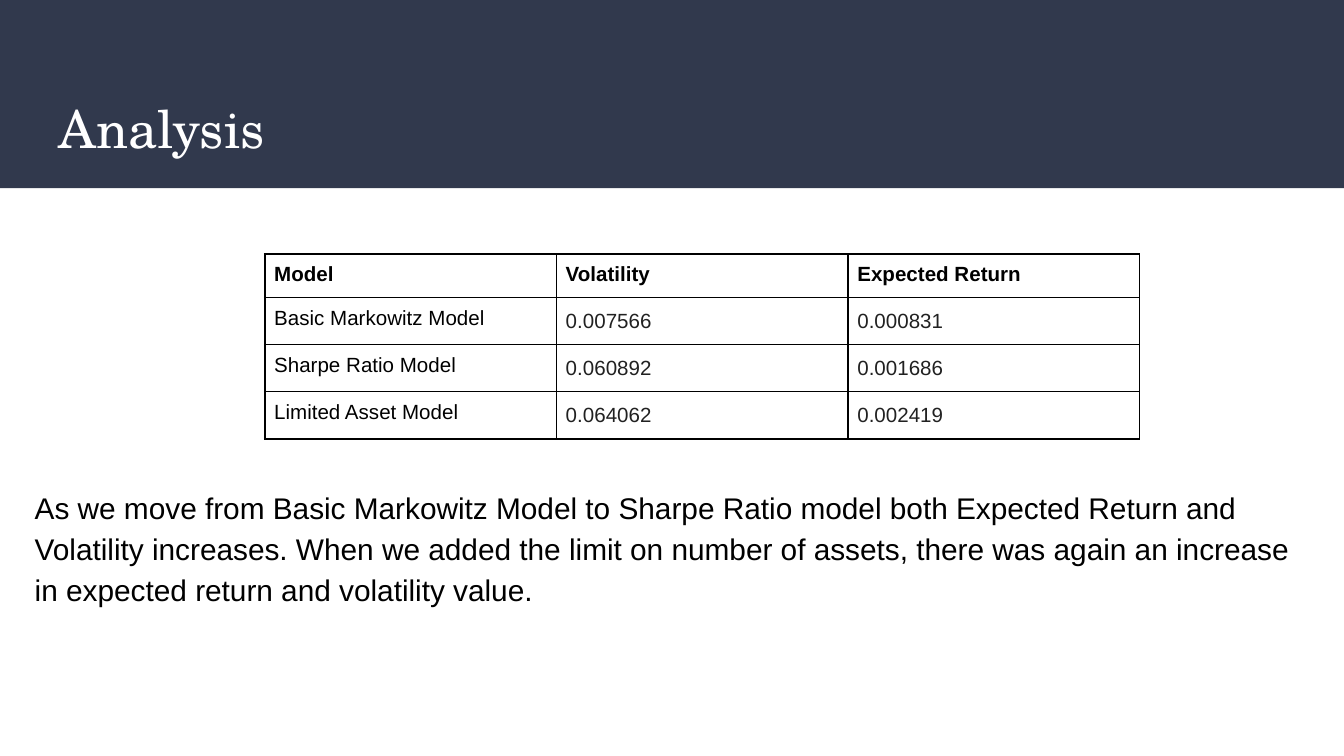
from lxml.etree import SubElement
from pptx import Presentation
from pptx.dml.color import RGBColor
from pptx.enum.shapes import MSO_SHAPE
from pptx.enum.text import MSO_ANCHOR
from pptx.oxml.ns import qn
from pptx.util import Inches, Pt

WIDTH = 10
HEIGHT = WIDTH * 9 / 16
NAVY, WHITE, BLACK, CHARCOAL = "31394D", "FFFFFF", "000000", "212121"

RESULTS = [
    ("Model", "Volatility", "Expected Return"),
    ("Basic Markowitz Model", "0.007566", "0.000831"),
    ("Sharpe Ratio Model", "0.060892", "0.001686"),
    ("Limited Asset Model", "0.064062", "0.002419"),
]
COLUMN_WIDTH = 2.17
# Minimum heights: rows grow to fit their text
HEADER_HEIGHT, ROW_HEIGHT = 0.23, 0.24
CONCLUSION = (
    "As we move from Basic Markowitz Model to Sharpe Ratio model both "
    "Expected Return and Volatility increases. When we added the limit on "
    "number of assets, there was again an increase in expected return and "
    "volatility value."
)


def color(hex_code):
    return RGBColor.from_string(hex_code)


def write(frame, words, size, hex_code, font="Arial", bold=False, spacing=1.15):
    frame.text = words
    paragraph = frame.paragraphs[0]
    paragraph.line_spacing = spacing
    for run in paragraph.runs:
        run.font.name = font
        run.font.size = Pt(size)
        run.font.bold = bold
        run.font.color.rgb = color(hex_code)


def set_margins(holder, inset):
    holder.margin_left = holder.margin_right = Inches(inset)
    holder.margin_top = holder.margin_bottom = Inches(inset)


def add_band(slide, height):
    band = slide.shapes.add_shape(
        MSO_SHAPE.RECTANGLE, 0, 0, Inches(WIDTH), Inches(height))
    band.shadow.inherit = False
    band.fill.solid()
    band.fill.fore_color.rgb = color(NAVY)
    band.line.fill.background()


def add_text(slide, words, side, top, height, size, hex_code, font="Arial"):
    """Place a text box with the same gap on its left and right."""
    box = slide.shapes.add_textbox(
        Inches(side), Inches(top), Inches(WIDTH - 2 * side), Inches(height))
    frame = box.text_frame
    frame.word_wrap = True
    frame.vertical_anchor = MSO_ANCHOR.TOP
    set_margins(frame, 0.1)
    write(frame, words, size, hex_code, font)


def outline_cell(cell, hex_code, points):
    properties = cell._tc.get_or_add_tcPr()
    for position, side in enumerate(("a:lnL", "a:lnR", "a:lnT", "a:lnB")):
        border = SubElement(properties, qn(side), w=str(Pt(points)))
        properties.insert(position, border)
        fill = SubElement(border, qn("a:solidFill"))
        SubElement(fill, qn("a:srgbClr"), val=hex_code)


def add_results(slide, left, top):
    rows, columns = len(RESULTS), len(RESULTS[0])
    height = HEADER_HEIGHT + (rows - 1) * ROW_HEIGHT
    table = slide.shapes.add_table(
        rows, columns, Inches(left), Inches(top),
        Inches(columns * COLUMN_WIDTH), Inches(height)).table
    for column in table.columns:
        column.width = Inches(COLUMN_WIDTH)
    for r, record in enumerate(RESULTS):
        header = r == 0
        table.rows[r].height = Inches(HEADER_HEIGHT if header else ROW_HEIGHT)
        for c, words in enumerate(record):
            cell = table.cell(r, c)
            figure = not header and c > 0
            set_margins(cell, 0.07)
            cell.fill.background()
            outline_cell(cell, BLACK, 1)
            write(cell.text_frame, words, 11, CHARCOAL if figure else BLACK,
                  bold=header, spacing=1.15 if figure else 1.0)


def main():
    deck = Presentation()
    deck.slide_width, deck.slide_height = Inches(WIDTH), Inches(HEIGHT)
    slide = deck.slides.add_slide(deck.slide_layouts[6])
    slide.background.fill.solid()
    slide.background.fill.fore_color.rgb = color(WHITE)

    # Heading
    add_band(slide, 1.4)
    add_text(slide, "Analysis", 0.34, 0.55, 0.68, 28, WHITE, "TeX Gyre Schola")

    # Model comparison and conclusion
    add_results(slide, 1.97, 1.89)
    add_text(slide, CONCLUSION, 0.16, 3.5, 1.59, 16, BLACK)

    deck.save("out.pptx")


if __name__ == "__main__":
    main()
